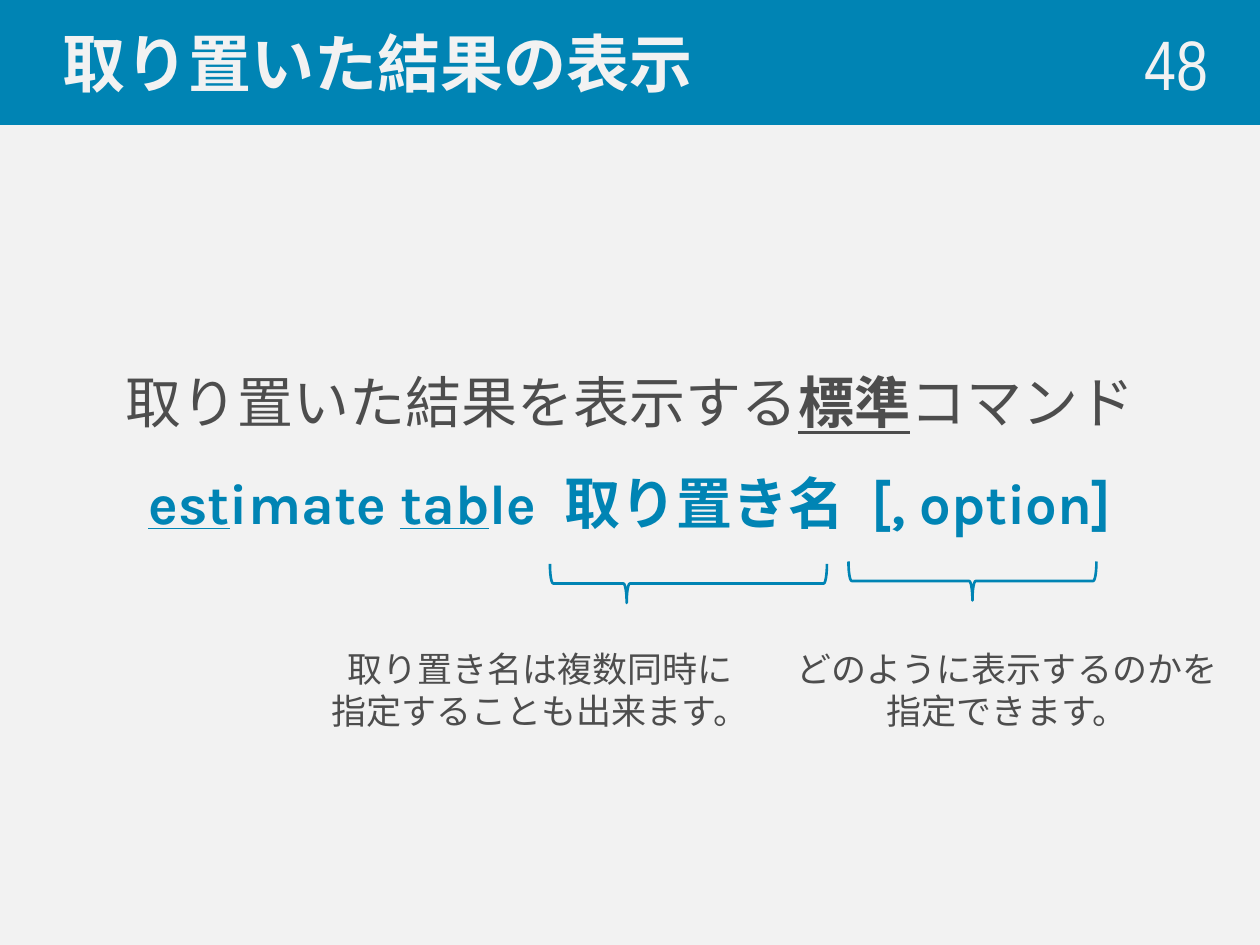
"""Build the slide on the command that displays stored estimation results."""
from pptx import Presentation
from pptx.dml.color import RGBColor
from pptx.enum.shapes import MSO_SHAPE
from pptx.enum.text import MSO_ANCHOR, MSO_AUTO_SIZE, PP_ALIGN
from pptx.util import Emu, Pt
from lxml import etree

PX = 914400 // 126
BRACE = MSO_SHAPE.LEFT_BRACE
MIDDLE, BOTTOM = MSO_ANCHOR.MIDDLE, MSO_ANCHOR.BOTTOM
CENTER, LEFT, RIGHT = PP_ALIGN.CENTER, PP_ALIGN.LEFT, PP_ALIGN.RIGHT
NO_FIT = MSO_AUTO_SIZE.NONE
COLORS = {k: RGBColor.from_string(v) for k, v in
          {"blue": "0084B4", "light": "F2F2F2", "text": "4D4D4D"}.items()}


def px(*values):
    return [Emu(v * PX) for v in values]


def style(r, font, size, color, bold=False, underline=False):
    r.font.name, r.font.size = font, Pt(size)
    r.font.color.rgb = COLORS[color]
    r.font.bold, r.font.underline = bold, underline


prs = Presentation()
prs.slide_width, prs.slide_height = px(1260, 945)
s = prs.slides.add_slide(prs.slide_layouts[1])
s.background.fill.solid()
s.background.fill.fore_color.rgb = COLORS["light"]

title, body = s.placeholders
title.left, title.top, title.width, title.height = px(0, 0, 1260, 124)
title.fill.solid()
title.fill.fore_color.rgb = COLORS["blue"]
title.line.color.rgb = COLORS["blue"]
title.line.width = Pt(1.5)
tf = title.text_frame
tf.text = "取り置いた結果の表示"
tf.auto_size, tf.vertical_anchor = NO_FIT, MIDDLE
tf.margin_left = px(62)[0]
tf.paragraphs[0].alignment = LEFT
style(tf.paragraphs[0].runs[0], "Arial", 36, "light", True)

body.left, body.top, body.width, body.height = px(63, 155, 1134, 689)
tf = body.text_frame
tf.auto_size, tf.vertical_anchor = NO_FIT, BOTTOM
tf.margin_bottom = px(308)[0]
lines = [
    ("text", [("取り置いた結果を表示する", False, False), ("標準", True, True),
              ("コマンド", False, False)]),
    ("blue", [("est", True, True), ("imate ", True, False),
              ("tab", True, True), ("le", True, False), (" ", True, False),
              ("取り置き名", True, False), (" ", True, False),
              ("[, option]", True, False)]),
]
for i, (color, runs) in enumerate(lines):
    p = tf.add_paragraph() if i else tf.paragraphs[0]
    p.alignment, p.line_spacing, p.space_before = CENTER, 1.5, Pt(0)
    pPr = p._p.get_or_add_pPr()
    pPr.set("marL", "0")
    pPr.set("indent", "0")
    etree.SubElement(
        pPr, "{http://schemas.openxmlformats.org/drawingml/2006/main}buNone")
    for text, bold, underline in runs:
        r = p.add_run()
        r.text = text
        style(r, "Karla", 32, color, bold, underline)
        if text == " ":
            r.font._element.set("spc", "800")

number = s.shapes.add_textbox(*px(978, 24, 243, 77))
tf = number.text_frame
tf.word_wrap, tf.vertical_anchor = True, MIDDLE
tf.text = "48"
tf.paragraphs[0].alignment = RIGHT
style(tf.paragraphs[0].runs[0], "Arial Narrow", 40, "light")

notes = [
    ((953, 457, 39, 248), 0.5, 769, "どのように表示するのかを\v指定できます。"),
    ((669, 445, 39, 277), 0.277, 302, "取り置き名は複数同時に\v指定することも出来ます。"),
]
for box, tip, left, text in notes:
    group = s.shapes.add_group_shape()
    brace = group.shapes.add_shape(BRACE, *px(*box))
    brace.rotation = 270
    brace.adjustments[1] = tip
    brace.shadow.inherit = False
    brace.fill.background()
    brace.line.color.rgb = COLORS["blue"]
    brace.line.width = Pt(1.5)
    label = group.shapes.add_textbox(*px(left, 641, 476, 97))
    tf = label.text_frame
    tf.word_wrap = True
    p = tf.paragraphs[0]
    p.text = text
    p.alignment = CENTER
    for r in p.runs:
        style(r, "Karla", 20, "text")

prs.save("out.pptx")
